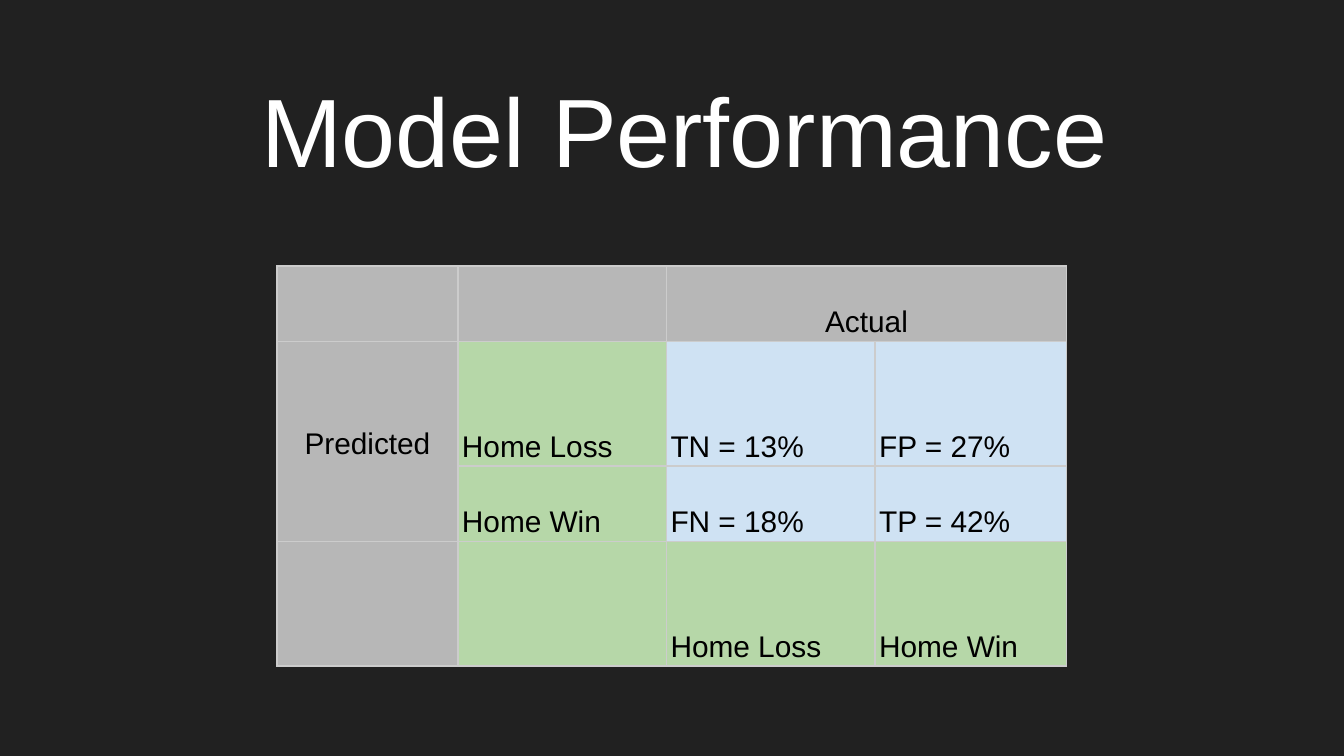
from lxml.etree import SubElement
from pptx import Presentation
from pptx.dml.color import RGBColor
from pptx.enum.text import MSO_ANCHOR as Anchor, MSO_AUTO_SIZE as AutoSize, PP_ALIGN as Align
from pptx.oxml.ns import qn
from pptx.util import Inches, Pt

PX = 9525
WHITE = RGBColor(0xFF, 0xFF, 0xFF)
BLACK = RGBColor(0, 0, 0)
DARK = RGBColor(0x21, 0x21, 0x21)
GREY = RGBColor(0xB7, 0xB7, 0xB7)
GREEN = RGBColor(0xB6, 0xD7, 0xA8)
BLUE = RGBColor(0xCF, 0xE2, 0xF3)
BORDER = RGBColor(0xCC, 0xCC, 0xCC)

COLUMNS = [129, 149, 149, 137]
ROWS = [54, 89, 54, 89]
CELLS = [
    [("", GREY), ("", GREY), ("Actual", GREY), ("", GREY)],
    [("Predicted", GREY), ("Home Loss", GREEN), ("TN = 13%", BLUE), ("FP = 27%", BLUE)],
    [("", GREY), ("Home Win", GREEN), ("FN = 18%", BLUE), ("TP = 42%", BLUE)],
    [("", GREY), ("", GREEN), ("Home Loss", GREEN), ("Home Win", GREEN)],
]
MARGINS = {"margin_left": 3 * PX, "margin_right": 3 * PX,
           "margin_top": 2 * PX, "margin_bottom": 2 * PX}


def set_all(target, values):
    """Set each named attribute of the target."""
    for name, value in values.items():
        setattr(target, name, value)


def write(frame, text, size, color, align, spacing):
    """Put one formatted paragraph into a text frame."""
    para = frame.paragraphs[0]
    set_all(para, {"alignment": align, "line_spacing": spacing})
    span = para.add_run()
    span.text = text
    set_all(span.font, {"name": "Arial", "size": Pt(size)})
    span.font.color.rgb = color


def add_title(page, text):
    """Place and format the title placeholder."""
    title = page.shapes.title
    set_all(title, {"left": 177 * PX, "top": 38 * PX, "width": 632 * PX, "height": 101 * PX})
    frame = title.text_frame
    set_all(frame, {side: Inches(0.1) for side in MARGINS})
    set_all(frame, {"word_wrap": True, "auto_size": AutoSize.NONE,
                    "vertical_anchor": Anchor.MIDDLE})
    write(frame, text, 52, WHITE, Align.LEFT, 1.08)


def add_borders(cell):
    """Draw a thin line on all four sides of a cell."""
    props = cell._tc.get_or_add_tcPr()
    for index, side in enumerate(("a:lnL", "a:lnR", "a:lnT", "a:lnB")):
        line = SubElement(props, qn(side), w=str(int(Pt(0.94))))
        fill = SubElement(line, qn("a:solidFill"))
        SubElement(fill, qn("a:srgbClr"), val=str(BORDER))
        props.insert(index, line)


def fill_cell(cell, text, color):
    """Give a cell its fill, borders and text."""
    cell.fill.solid()
    cell.fill.fore_color.rgb = color
    add_borders(cell)
    set_all(cell, MARGINS)
    cell.vertical_anchor = Anchor.MIDDLE if cell.span_height > 1 else Anchor.BOTTOM
    if text:
        align = Align.CENTER if cell.is_merge_origin else Align.LEFT
        write(cell.text_frame, text, 16, BLACK, align, 1.15)


def add_matrix(page):
    """Add the confusion matrix table."""
    table = page.shapes.add_table(len(ROWS), len(COLUMNS), 198 * PX, 190 * PX,
                                  sum(COLUMNS) * PX, sum(ROWS) * PX).table
    set_all(table, {"first_row": False, "horz_banding": False})
    for column, width in zip(table.columns, COLUMNS):
        column.width = width * PX
    for row, height in zip(table.rows, ROWS):
        row.height = height * PX
    table.cell(0, 2).merge(table.cell(0, 3))
    table.cell(1, 0).merge(table.cell(2, 0))
    for row, values in zip(table.rows, CELLS):
        for cell, (text, color) in zip(row.cells, values):
            fill_cell(cell, text, color)


def main():
    """Build and save the slide."""
    deck = Presentation()
    set_all(deck, {"slide_width": 960 * PX, "slide_height": 540 * PX})
    page = deck.slides.add_slide(deck.slide_layouts[5])
    page.background.fill.solid()
    page.background.fill.fore_color.rgb = DARK
    add_title(page, "Model Performance")
    add_matrix(page)
    deck.save("out.pptx")


if __name__ == "__main__":
    main()
